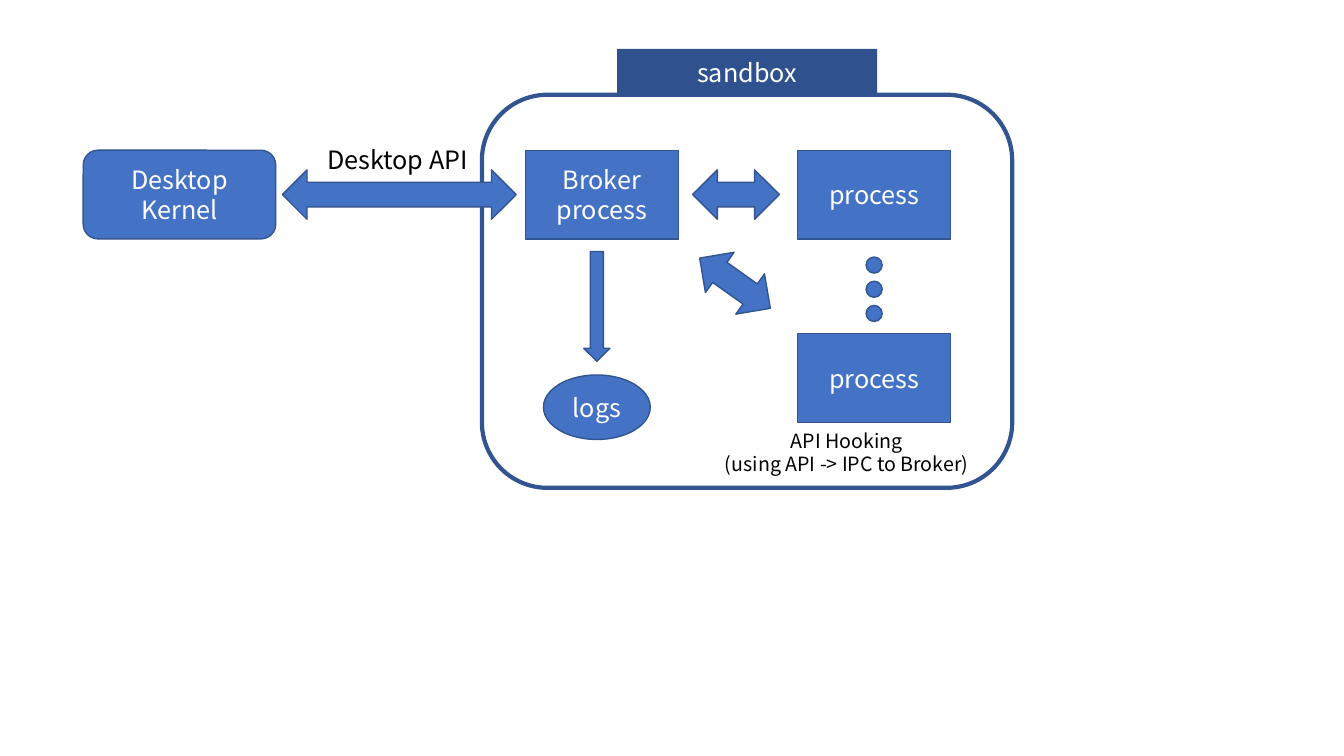
from dataclasses import dataclass

from pptx import Presentation
from pptx.dml.color import RGBColor
from pptx.enum.shapes import MSO_SHAPE
from pptx.enum.text import MSO_ANCHOR, MSO_AUTO_SIZE, PP_ALIGN
from pptx.slide import Slide
from pptx.text.text import TextFrame
from pptx.util import Inches, Pt

COLORS = {
    "node": "4472C4",
    "outline": "325491",
    "tab": "2F528F",
    "light": "FFFFFF",
    "dark": "000000",
}
FONT = "Noto Sans CJK KR"
LINE_HEIGHT = 1.2
CELL = Inches(0.1)

NODE = (15.2, 8.8)
ARROW = (8.6, 4.9)
DOT = (1.6, 1.6)
BROKER_COLUMN, LOG_COLUMN, PROCESS_COLUMN = 59.7, 59.2, 86.7
TOP_ROW, BOTTOM_ROW = 19.3, 37.5
DOT_ROW, DOT_STEP = 26.3, 2.4
SANDBOX_COLUMN = 74.1


@dataclass(frozen=True)
class Node:
    kind: MSO_SHAPE
    column: float
    row: float
    size: tuple[float, float]
    lines: tuple[str, ...] = ()
    fill: str | None = "node"
    outline: float = 1
    rotation: float = 0


@dataclass(frozen=True)
class Label:
    column: float
    row: float
    size: tuple[float, float]
    lines: tuple[str, ...]
    points: int
    align: PP_ALIGN


def color(name: str) -> RGBColor:
    return RGBColor.from_string(COLORS[name])


def frame(column: float, row: float, size: tuple[float, float]) -> list[int]:
    width, height = size
    cells = (column - width / 2, row - height / 2, width, height)
    return [round(cell * CELL) for cell in cells]


def write(text_frame: TextFrame, lines: tuple[str, ...], points: int,
          color_name: str, align: PP_ALIGN) -> None:
    for index, line in enumerate(lines):
        paragraph = text_frame.add_paragraph() if index else text_frame.paragraphs[0]
        paragraph.alignment = align
        paragraph.line_spacing = Pt(points * LINE_HEIGHT)
        run = paragraph.add_run()
        run.text = line
        run.font.name = FONT
        run.font.size = Pt(points)
        run.font.color.rgb = color(color_name)


def draw_node(slide: Slide, node: Node) -> None:
    shape = slide.shapes.add_shape(node.kind, *frame(node.column, node.row, node.size))
    shape.shadow.inherit = False
    shape.rotation = node.rotation
    if node.fill:
        shape.fill.solid()
        shape.fill.fore_color.rgb = color(node.fill)
    else:
        shape.fill.background()
    if node.outline:
        shape.line.color.rgb = color("outline")
        shape.line.width = Pt(node.outline)
    else:
        shape.line.fill.background()
    shape.text_frame.vertical_anchor = MSO_ANCHOR.MIDDLE
    write(shape.text_frame, node.lines, 18, "light", PP_ALIGN.CENTER)


def draw_label(slide: Slide, label: Label) -> None:
    box = slide.shapes.add_textbox(*frame(label.column, label.row, label.size))
    box.text_frame.word_wrap = False
    box.text_frame.auto_size = MSO_AUTO_SIZE.SHAPE_TO_FIT_TEXT
    write(box.text_frame, label.lines, label.points, "dark", label.align)


NODES = [
    Node(MSO_SHAPE.RECTANGLE, BROKER_COLUMN, TOP_ROW, NODE, ("Broker", "process")),
    Node(MSO_SHAPE.ROUNDED_RECTANGLE, 17.8, TOP_ROW, (19.1, 8.8), ("Desktop", "Kernel")),
    *[Node(MSO_SHAPE.RECTANGLE, PROCESS_COLUMN, row, NODE, ("process",))
      for row in (TOP_ROW, BOTTOM_ROW)],
    *[Node(MSO_SHAPE.OVAL, PROCESS_COLUMN, DOT_ROW + index * DOT_STEP, DOT)
      for index in range(3)],
    Node(MSO_SHAPE.LEFT_RIGHT_ARROW, 73, TOP_ROW, ARROW),
    Node(MSO_SHAPE.ROUNDED_RECTANGLE, SANDBOX_COLUMN, 28.9, (52.6, 39), fill=None, outline=3),
    Node(MSO_SHAPE.LEFT_RIGHT_ARROW, 72.9, 28.1, ARROW, rotation=35.4),
    Node(MSO_SHAPE.LEFT_RIGHT_ARROW, 39.6, TOP_ROW, (23.2, 4.9)),
    Node(MSO_SHAPE.RECTANGLE, SANDBOX_COLUMN, 7.2, (25.8, 4.7), ("sandbox",), "tab", 0),
    Node(MSO_SHAPE.DOWN_ARROW, LOG_COLUMN, 30.4, (2.6, 10.9)),
    Node(MSO_SHAPE.OVAL, LOG_COLUMN, 40.4, (10.6, 6.4), ("logs",)),
]
LABELS = [
    Label(40, 15.8, (17.1, 4), ("Desktop API",), 18, PP_ALIGN.LEFT),
    Label(84, 44.9, (27, 5.7), ("API Hooking", "(using API -> IPC to Broker)"),
          14, PP_ALIGN.CENTER),
]

presentation = Presentation()
presentation.slide_width = Inches(13.33)
presentation.slide_height = Inches(7.5)
slide = presentation.slides.add_slide(presentation.slide_layouts[6])
for node in NODES:
    draw_node(slide, node)
for label in LABELS:
    draw_label(slide, label)
presentation.save("out.pptx")
